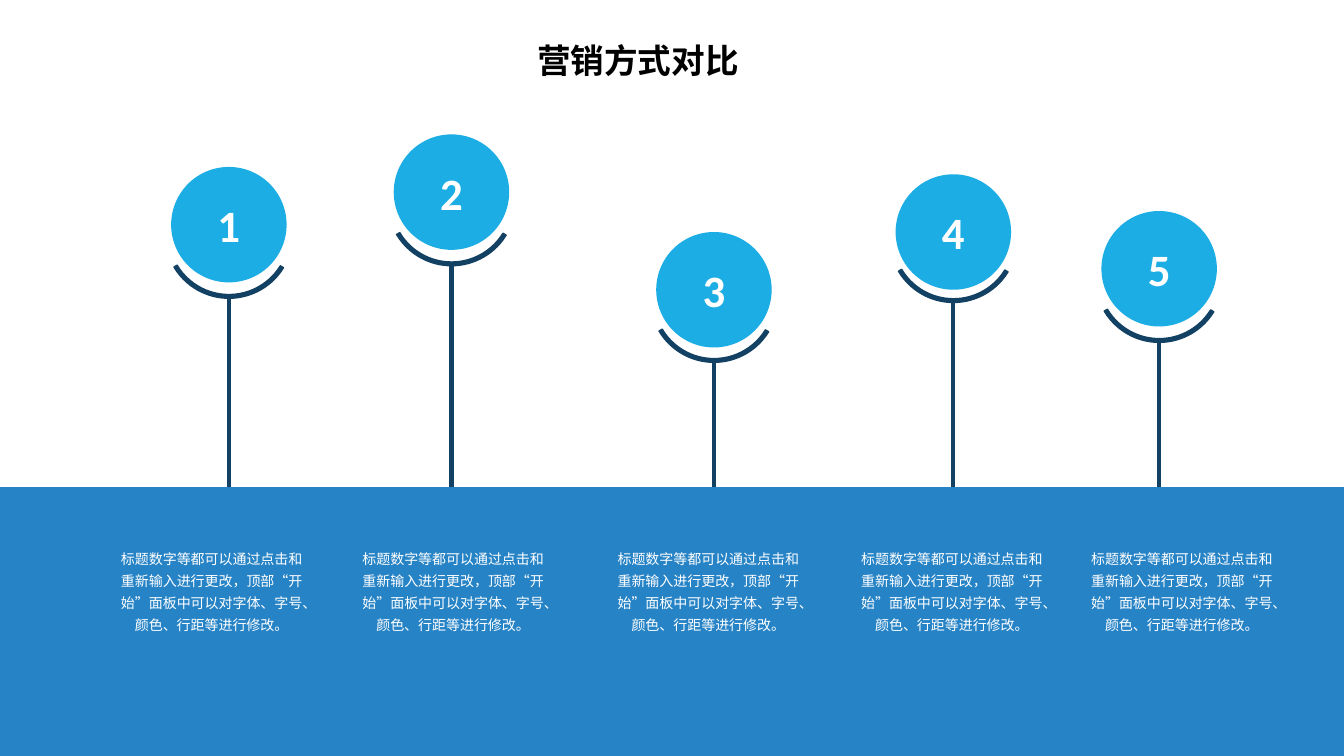
from dataclasses import dataclass

from pptx import Presentation
from pptx.dml.color import RGBColor
from pptx.enum.shapes import MSO_CONNECTOR, MSO_SHAPE
from pptx.enum.text import MSO_ANCHOR, PP_ALIGN
from pptx.shapes.autoshape import Shape
from pptx.slide import Slide
from pptx.text.text import TextFrame
from pptx.util import Emu, Pt
from lxml.etree import SubElement
from pptx.oxml.ns import qn

EMU_PER_PX = 9525
SLIDE_WIDTH, SLIDE_HEIGHT = 1280, 720
BAND_TOP = 464
CIRCLE_SIZE = 110
ARC_SIZE = 122
ARC_ROTATION = 161
ARC_ADJUSTMENTS = (138.333, 208.9, 0.029)
CAPTION_TOP, CAPTION_WIDTH, CAPTION_HEIGHT = 515, 199, 94

FONT = "Calibri"
BLACK = RGBColor(0x00, 0x00, 0x00)
WHITE = RGBColor(0xFF, 0xFF, 0xFF)
NAVY = RGBColor(0x13, 0x41, 0x63)
BLUE = RGBColor(0x26, 0x83, 0xC6)
CYAN = RGBColor(0x1C, 0xAD, 0xE4)

TITLE = "营销方式对比"
CAPTION = (
    "标题数字等都可以通过点击和重新输入进行更改，顶部“开始”面板中"
    "可以对字体、字号、颜色、行距等进行修改。"
)


@dataclass(frozen=True)
class Pin:
    number: int
    center: int
    circle_top: int
    arc_top: int
    stem_top: int
    caption_left: int


PINS = (
    Pin(1, 218, 159, 162, 284, 102),
    Pin(2, 430, 128, 131, 252, 332),
    Pin(3, 680, 221, 223, 342, 575),
    Pin(4, 908, 166, 166, 284, 807),
    Pin(5, 1104, 201, 204, 324, 1026),
)


def px(length: int) -> Emu:
    return Emu(length * EMU_PER_PX)


def add_filled_shape(
    slide: Slide, kind: MSO_SHAPE, left: int, top: int, width: int, height: int, color: RGBColor
) -> Shape:
    shape = slide.shapes.add_shape(kind, px(left), px(top), px(width), px(height))
    shape.shadow.inherit = False
    shape.fill.solid()
    shape.fill.fore_color.rgb = color
    shape.line.fill.background()
    return shape


def write_text(
    text_frame: TextFrame,
    text: str,
    size: int,
    color: RGBColor,
    alignment: PP_ALIGN,
    line_spacing: float = 1.0,
    bold: bool = False,
) -> None:
    text_frame.word_wrap = True
    text_frame.text = text
    paragraph = text_frame.paragraphs[0]
    paragraph.alignment = alignment
    paragraph.line_spacing = line_spacing
    font = paragraph.runs[0].font
    font.name = FONT
    font.size = Pt(size)
    font.bold = bold
    font.color.rgb = color


def add_title(slide: Slide) -> None:
    box = slide.shapes.add_textbox(px(502), px(38), px(276), px(44))
    write_text(box.text_frame, TITLE, 24, BLACK, PP_ALIGN.LEFT, 0.9, True)


def add_stem(slide: Slide, pin: Pin) -> None:
    stem = slide.shapes.add_connector(
        MSO_CONNECTOR.STRAIGHT, px(pin.center), px(BAND_TOP), px(pin.center), px(pin.stem_top)
    )
    stem.line.color.rgb = NAVY
    stem.line.width = Pt(3)
    SubElement(stem.line._get_or_add_ln().getparent(), qn("a:effectLst"))


def add_arc(slide: Slide, pin: Pin) -> None:
    left = pin.center - ARC_SIZE // 2
    arc = add_filled_shape(
        slide, MSO_SHAPE.BLOCK_ARC, left, pin.arc_top, ARC_SIZE, ARC_SIZE, NAVY
    )
    for index, value in enumerate(ARC_ADJUSTMENTS):
        arc.adjustments[index] = value
    arc.rotation = ARC_ROTATION
    arc.line.color.rgb = NAVY
    arc.line.width = Pt(1)


def add_caption(slide: Slide, pin: Pin) -> None:
    box = slide.shapes.add_textbox(
        px(pin.caption_left), px(CAPTION_TOP), px(CAPTION_WIDTH), px(CAPTION_HEIGHT)
    )
    write_text(box.text_frame, CAPTION, 10, WHITE, PP_ALIGN.CENTER, 1.3)


def add_circle(slide: Slide, pin: Pin) -> None:
    left = pin.center - CIRCLE_SIZE // 2
    circle = add_filled_shape(
        slide, MSO_SHAPE.OVAL, left, pin.circle_top, CIRCLE_SIZE, CIRCLE_SIZE, CYAN
    )
    circle.text_frame.vertical_anchor = MSO_ANCHOR.MIDDLE
    write_text(circle.text_frame, str(pin.number), 32, WHITE, PP_ALIGN.CENTER, bold=True)


def main() -> None:
    presentation = Presentation()
    presentation.slide_width = px(SLIDE_WIDTH)
    presentation.slide_height = px(SLIDE_HEIGHT)
    slide = presentation.slides.add_slide(presentation.slide_layouts[6])
    add_filled_shape(
        slide, MSO_SHAPE.RECTANGLE, 0, BAND_TOP, SLIDE_WIDTH, SLIDE_HEIGHT - BAND_TOP, BLUE
    )
    add_title(slide)
    for add_part in (add_stem, add_arc, add_caption, add_circle):
        for pin in PINS:
            add_part(slide, pin)
    presentation.save("out.pptx")


if __name__ == "__main__":
    main()
